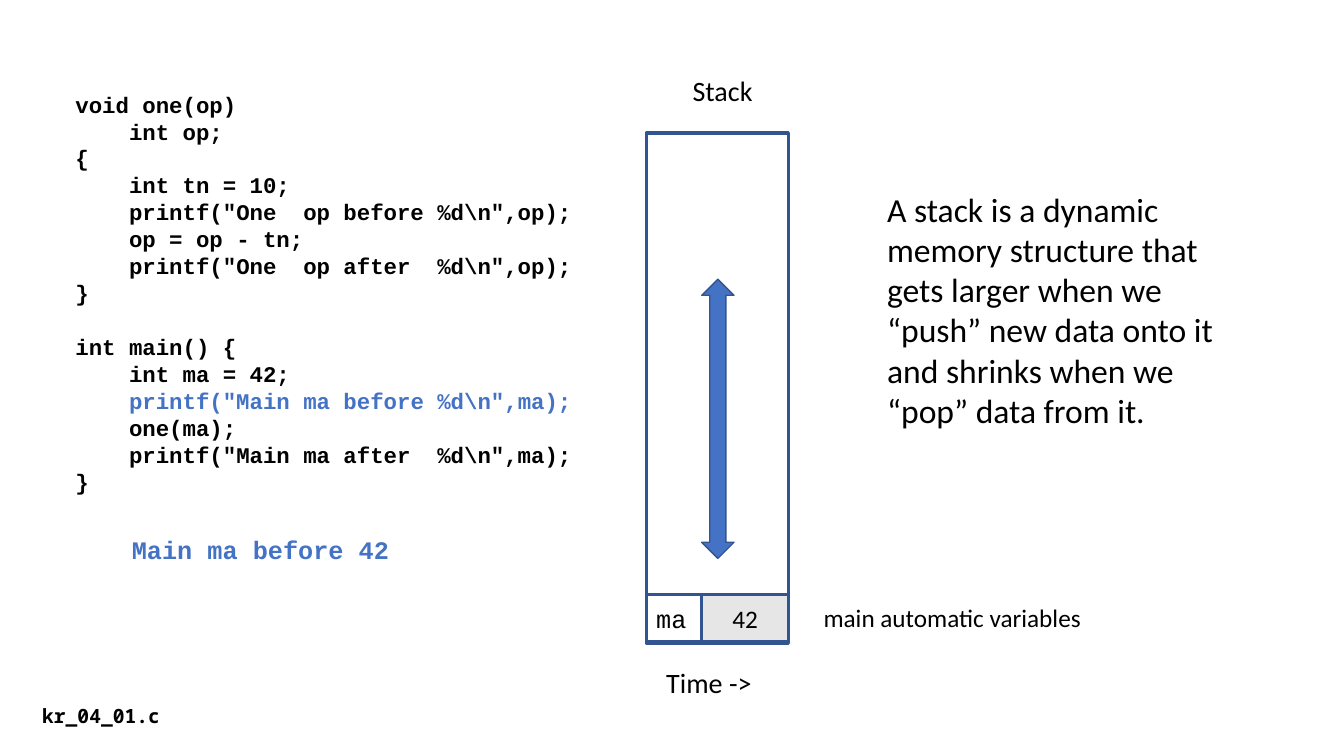
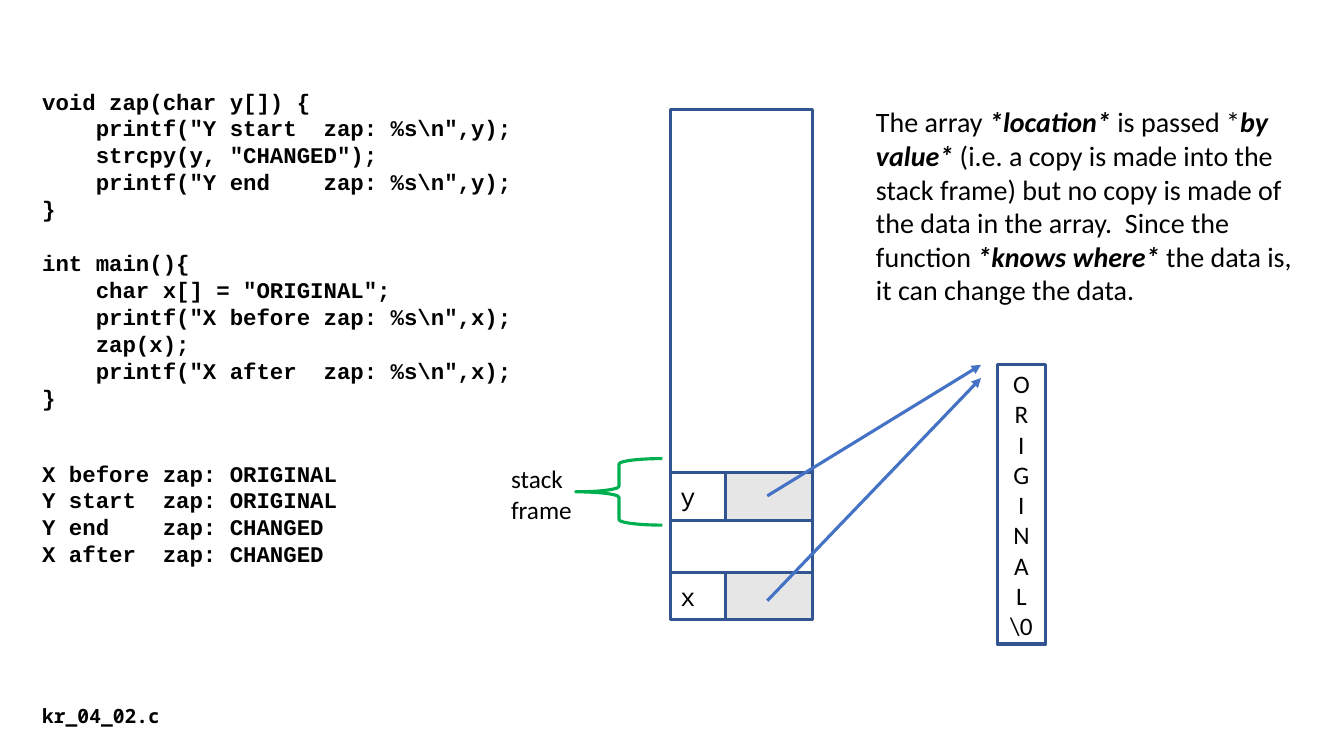
from lxml import etree
from pptx import Presentation
from pptx import util as u
from pptx.dml.color import RGBColor
from pptx.enum import shapes, text
from pptx.oxml import ns

BLACK = RGBColor(0x00, 0x00, 0x00)
WHITE = RGBColor(0xFF, 0xFF, 0xFF)
GREY = RGBColor(0xE7, 0xE6, 0xE6)
BLUE = RGBColor(0x44, 0x72, 0xC4)
NAVY = RGBColor(0x32, 0x54, 0x91)
GREEN = RGBColor(0x00, 0xB0, 0x50)
RED = RGBColor(0xFF, 0x00, 0x00)

SANS = "Calibri"
CODE = "Courier New"
MONO = "Noto Sans Mono"
EMPHASIS = {"bold": True, "italic": True}

ONE_CODE = r'''void one(op)
    int op;
{
    int tn = 10;
    printf("One  op before %d\n",op);
    op = op - tn;
    printf("One  op after  %d\n",op);
}

int main() {
    int ma = 42;
    printf("Main ma before %d\n",ma);
    one(ma);
    printf("Main ma after  %d\n",ma);
}'''

ZAP_CODE = r'''void zap(char y[]) {
    printf("Y start  zap: %s\n",y);
    strcpy(y, "CHANGED");
    printf("Y end    zap: %s\n",y);
}

int main(){
    char x[] = "ORIGINAL";
    printf("X before zap: %s\n",x);
    zap(x);
    printf("X after  zap: %s\n",x);
}'''

ZAP_OUTPUT = """X before zap: ORIGINAL
Y start  zap: ORIGINAL
Y end    zap: CHANGED
X after  zap: CHANGED"""


def write(p, content, size=18, font=SANS, color=BLACK, bold=False, italic=False):
    r = p.add_run()
    r.text = content
    r.font.size = u.Pt(size)
    r.font.name = font
    r.font.color.rgb = color
    r.font.bold = bold
    r.font.italic = italic


class Deck:
    pitch = u.Pt(19.25)
    line_width = 2.25
    stack_size = (1.41, 5.06)
    cell_height = 0.47
    name_width = 0.55

    def __init__(self):
        self.prs = Presentation()
        self.prs.slide_width = u.Inches(13.33)
        self.prs.slide_height = u.Inches(7.5)

    def new_slide(self, file_name):
        self.slide = self.prs.slides.add_slide(self.prs.slide_layouts[6])
        self.label(0.32, 6.93, 1.51, 0.34, file_name, size=14, font=MONO, bold=True)

    def box(self, x, y, w, h, wrap=True):
        sp = self.slide.shapes.add_textbox(*map(u.Inches, (x, y, w, h)))
        tf = sp.text_frame
        tf.word_wrap = wrap
        tf.auto_size = text.MSO_AUTO_SIZE.SHAPE_TO_FIT_TEXT
        return tf

    def label(self, x, y, w, h, content, wrap=True, **style):
        tf = self.box(x, y, w, h, wrap)
        self.fill_lines(tf, content.split("\n"), **style)

    def fill_lines(self, tf, lines, align=text.PP_ALIGN.LEFT, **style):
        for i, line in enumerate(lines):
            p = tf.add_paragraph() if i else tf.paragraphs[0]
            p.alignment = align
            write(p, line, **style)

    def rich(self, x, y, w, h, parts, **style):
        p = self.box(x, y, w, h).paragraphs[0]
        for content, extra in parts:
            write(p, content, **style, **extra)

    def code(self, x, y, w, h, listing, mark, mark_color):
        tf = self.box(x, y, w, h, wrap=False)
        p = tf.paragraphs[0]
        style = {"size": 16, "font": CODE, "bold": True}
        for b, block in enumerate(listing.split("\n\n")):
            for i, line in enumerate(block.split("\n")):
                if b or i:
                    p = tf.add_paragraph()
                p.line_spacing = self.pitch
                if b and not i:
                    p.space_before = self.pitch
                before, found, after = line.partition(mark)
                for part, color in ((before, BLACK), (found, mark_color), (after, BLACK)):
                    if part:
                        write(p, part, color=color, **style)

    def shape(self, kind, x, y, w, h, fill=WHITE, line=NAVY, width=line_width):
        sp = self.slide.shapes.add_shape(kind, *map(u.Inches, (x, y, w, h)))
        sp.shadow.inherit = False
        if fill is None:
            sp.fill.background()
        else:
            sp.fill.solid()
            sp.fill.fore_color.rgb = fill
        sp.line.color.rgb = line
        sp.line.width = u.Pt(width)
        return sp

    def rect(self, x, y, w, h, lines=(), fill=WHITE, **style):
        sp = self.shape(shapes.MSO_SHAPE.RECTANGLE, x, y, w, h, fill)
        tf = sp.text_frame
        tf.vertical_anchor = text.MSO_ANCHOR.MIDDLE
        self.fill_lines(tf, lines, **style)

    def stack(self, x, y):
        self.rect(x, y, *self.stack_size)

    def variable(self, x, y, name, value=()):
        w, h = self.stack_size[0], self.cell_height
        self.rect(x, y, w, h, [name], font=CODE)
        self.rect(x + self.name_width, y, w - self.name_width, h, value, fill=GREY,
                  align=text.PP_ALIGN.CENTER)

    def arrow(self, x1, y1, x2, y2):
        sp = self.slide.shapes.add_connector(
            shapes.MSO_CONNECTOR.STRAIGHT, *map(u.Inches, (x1, y1, x2, y2)))
        sp.line.color.rgb = BLUE
        sp.line.width = u.Pt(self.line_width)
        etree.SubElement(sp.line._get_or_add_ln(), ns.qn("a:tailEnd"), type="triangle")
        etree.SubElement(sp._element.spPr, ns.qn("a:effectLst"))


def stack_slide(deck):
    deck.new_slide("kr_04_01.c")
    deck.stack(6.41, 1.32)
    deck.code(0.65, 0.85, 5.2, 4.14, ONE_CODE, r'printf("Main ma before %d\n",ma);', BLUE)
    deck.label(1.21, 5.25, 2.76, 0.4, "Main ma before 42", wrap=False,
               font=CODE, color=BLUE, bold=True)
    deck.variable(6.41, 5.9, "ma", ["42"])
    deck.label(6.77, 0.68, 0.81, 0.44, "Stack", wrap=False, size=20)
    deck.label(6.51, 6.55, 1.06, 0.44, "Time ->", wrap=False, size=20)
    deck.label(8.07, 5.93, 3.2, 0.4, "main automatic variables")
    deck.shape(shapes.MSO_SHAPE.UP_DOWN_ARROW, 6.96, 2.77, 0.32, 2.77, fill=BLUE, width=1)
    deck.label(8.7, 1.82, 3.8, 2.52,
               "A stack is a dynamic memory structure that gets larger when we “push” "
               "new data onto it and shrinks when we “pop” data from it.", size=24)


def array_slide(deck):
    deck.new_slide("kr_04_02.c")
    deck.code(0.32, 0.82, 4.93, 3.33, ZAP_CODE, "\n", BLACK)
    deck.code(0.32, 4.51, 3.17, 1.18, ZAP_OUTPUT, "X after  zap: ", BLACK)
    deck.stack(6.65, 1.09)
    for name, y in (("x", 5.68), ("y", 4.69)):
        deck.variable(6.65, y, name)
    deck.rect(9.89, 3.62, 0.48, 2.77, [*"ORIGINAL", r"\0"], align=text.PP_ALIGN.CENTER)
    for start, end in ((4.92, 3.62), (5.96, 3.75)):
        deck.arrow(7.61, start, 9.73, end)
    deck.shape(shapes.MSO_SHAPE.LEFT_BRACE, 5.71, 4.55, 0.86, 0.66, fill=None, line=GREEN)
    deck.label(4.97, 4.55, 0.88, 0.71, "stack\nframe")
    deck.rich(8.59, 0.99, 4.34, 2.12, [
        ("The array ", {}),
        ("*location* ", EMPHASIS),
        ("is passed *", {}),
        ("by value*", EMPHASIS),
        (" (i.e. a copy is made into the stack frame) but no copy is made of "
         "the data in the array.  Since the function ", {}),
        ("*knows where* ", EMPHASIS),
        ("the data is, it can change the data.", {}),
    ], size=20)


def main():
    deck = Deck()
    stack_slide(deck)
    array_slide(deck)
    deck.prs.save("out.pptx")


if __name__ == "__main__":
    main()
